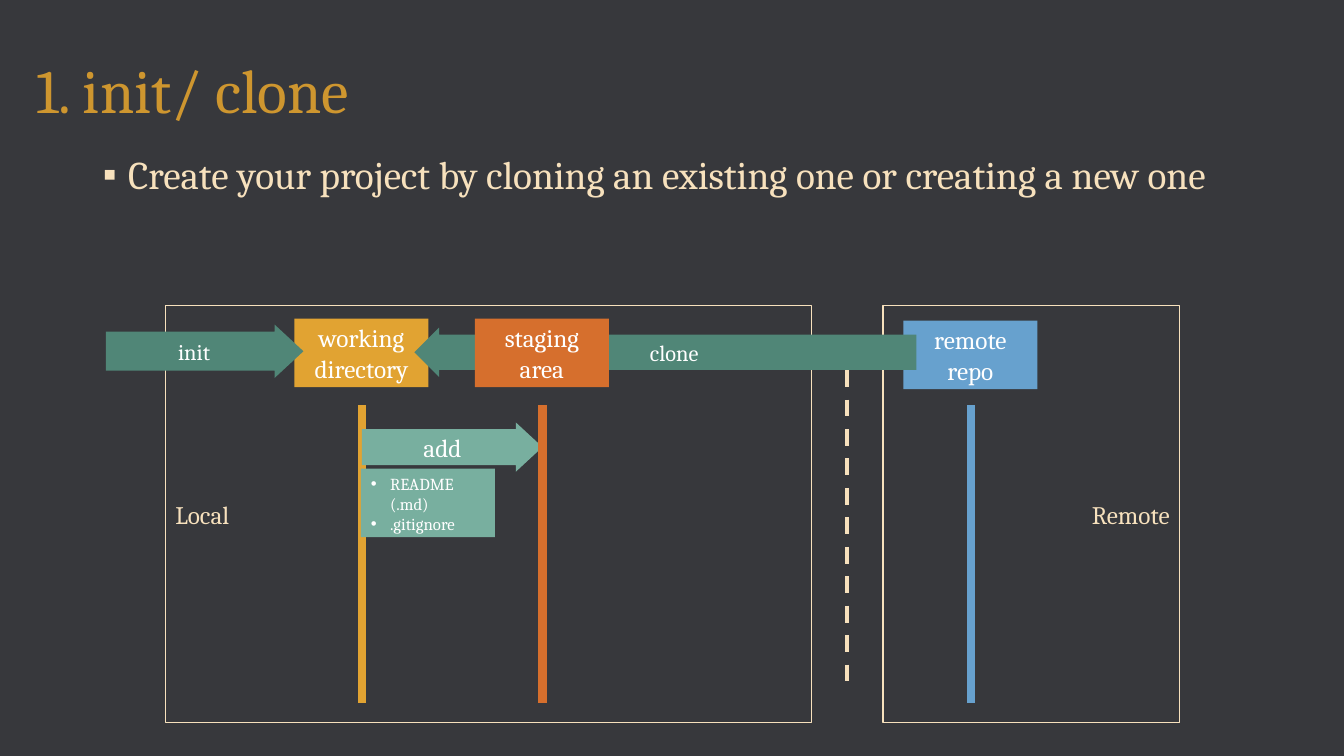
from lxml import etree
from pptx import Presentation
from pptx.dml.color import RGBColor
from pptx.enum.dml import MSO_LINE
from pptx.enum.shapes import MSO_CONNECTOR, MSO_SHAPE
from pptx.enum.text import MSO_ANCHOR, MSO_AUTO_SIZE, PP_ALIGN
from pptx.oxml.ns import qn
from pptx.util import Inches, Pt

RECT, RIGHT_ARROW, LEFT_ARROW = MSO_SHAPE.RECTANGLE, MSO_SHAPE.RIGHT_ARROW, MSO_SHAPE.LEFT_ARROW
STRAIGHT, DASH = MSO_CONNECTOR.STRAIGHT, MSO_LINE.DASH
LEFT, CENTER, RIGHT = PP_ALIGN.LEFT, PP_ALIGN.CENTER, PP_ALIGN.RIGHT
TOP, MIDDLE = MSO_ANCHOR.TOP, MSO_ANCHOR.MIDDLE
NO_FIT = MSO_AUTO_SIZE.NONE

FONT = "Cambria"
BACKGROUND, CREAM, WHITE, GOLD = "37383C", "F7E1BD", "FFFFFF", "CE962F"
YELLOW, ORANGE, BLUE = "E1A332", "D66F2D", "67A1CE"
GREEN, LIGHT_GREEN = "508677", "78AF9F"
RIGHT_ADJ, LEFT_ADJ = (0.73, 0.54), (0.71, 0.5)


def rgb(value):
    """Turn a hex string into a colour."""
    return RGBColor.from_string(value)


def add_run(p, text, size, color):
    """Add one formatted run to a paragraph."""
    r = p.add_run()
    r.text = text
    r.font.name, r.font.size = FONT, Pt(size)
    r.font.color.rgb = rgb(color)


def add_bullet(p, char, indent):
    """Give a paragraph a bullet with a hanging indent in inches."""
    pPr = p._p.get_or_add_pPr()
    pPr.set("marL", str(Inches(indent)))
    pPr.set("indent", str(Inches(-indent)))
    etree.SubElement(pPr, qn("a:buFont")).set("typeface", "Arial")
    etree.SubElement(pPr, qn("a:buChar")).set("char", char)


def place(sp, box):
    """Move a placeholder to a box given in inches."""
    sp.left, sp.top, sp.width, sp.height = (Inches(v) for v in box)


def add_block(s, box, lines, size, color=WHITE, fill=None, outline=None, kind=RECT,
              adjustments=(), align=CENTER, anchor=MIDDLE, bullet=None):
    """Add a preset shape holding one paragraph per line."""
    sp = s.shapes.add_shape(kind, *(Inches(v) for v in box))
    sp.shadow.inherit = False
    for i, value in enumerate(adjustments):
        sp.adjustments[i] = value
    if fill:
        sp.fill.solid()
        sp.fill.fore_color.rgb = rgb(fill)
    else:
        sp.fill.background()
    if outline:
        sp.line.color.rgb, sp.line.width = rgb(outline), Pt(1)
    else:
        sp.line.fill.background()
    tf = sp.text_frame
    tf.word_wrap, tf.vertical_anchor = True, anchor
    for i, line in enumerate(lines):
        p = tf.add_paragraph() if i else tf.paragraphs[0]
        p.alignment = align
        if bullet:
            add_bullet(p, bullet, 0.19)
        add_run(p, line, size, color)


def add_vertical(s, x, top, bottom, color, width, dash=None):
    """Add a vertical line."""
    line = s.shapes.add_connector(STRAIGHT, Inches(x), Inches(top), Inches(x), Inches(bottom))
    line.line.color.rgb, line.line.width = rgb(color), Pt(width)
    if dash:
        line.line.dash_style = dash
    etree.SubElement(line._element.spPr, qn("a:effectLst"))


def add_lane(s, x, y, label, color):
    """Add a labelled stage box with its lifeline below."""
    add_block(s, (x, y, 1.33, 0.68), [label], 18, fill=color)
    add_vertical(s, x + 0.67, 4.02, 6.97, color, 6)


def add_heading(s, box):
    """Fill the title placeholder."""
    sp = s.shapes.title
    place(sp, box)
    tf = sp.text_frame
    tf.word_wrap, tf.vertical_anchor, tf.auto_size = True, MIDDLE, NO_FIT
    p = tf.paragraphs[0]
    p.alignment, p.line_spacing = LEFT, 0.9
    add_run(p, "1. init/ clone", 44, GOLD)


def add_body(s, box):
    """Fill the body placeholder with its bullet."""
    sp = s.placeholders[1]
    place(sp, box)
    tf = sp.text_frame
    tf.word_wrap, tf.vertical_anchor, tf.auto_size = True, TOP, NO_FIT
    p = tf.paragraphs[0]
    p.alignment, p.line_spacing, p.space_before = LEFT, 0.9, Pt(10)
    add_bullet(p, "▪", 0.25)
    add_run(p, "Create your project by cloning an existing one or creating a new one", 28, CREAM)


def add_diagram(s, x, y):
    """Draw the repository flow from the top left corner of the local frame."""
    add_lane(s, x + 1.28, y + 0.13, "working directory", YELLOW)
    add_lane(s, x + 7.32, y + 0.15, "remote repo", BLUE)
    add_vertical(s, x + 6.76, y + 0.35, y + 3.78, CREAM, 3, DASH)
    for dx, width, label, align in ((0, 6.41, "Local", LEFT), (7.12, 2.94, "Remote", RIGHT)):
        add_block(s, (x + dx, y, width, 4.14), [label], 18, CREAM, outline=CREAM, align=align)
    for dx, dy, width, height, label, size, fill, kind, adjustments in (
            (1.95, 1.16, 1.79, 0.49, "add", 18, LIGHT_GREEN, RIGHT_ARROW, RIGHT_ADJ),
            (2.47, 0.22, 4.98, 0.49, "clone", 16, GREEN, LEFT_ARROW, LEFT_ADJ),
            (-0.59, 0.19, 1.96, 0.53, "init", 16, GREEN, RIGHT_ARROW, RIGHT_ADJ)):
        add_block(s, (x + dx, y + dy, width, height), [label], size,
                  fill=fill, kind=kind, adjustments=adjustments)
    add_block(s, (x + 1.94, y + 1.62, 1.33, 0.68), ["README (.md)", ".gitignore"], 12,
              fill=LIGHT_GREEN, align=LEFT, anchor=TOP, bullet="•")
    add_lane(s, x + 3.07, y + 0.13, "staging area", ORANGE)


def main():
    """Build and save the slide."""
    prs = Presentation()
    prs.slide_width, prs.slide_height = Inches(13.33), Inches(7.5)
    s = prs.slides.add_slide(prs.slide_layouts[1])
    s.background.fill.solid()
    s.background.fill.fore_color.rgb = rgb(BACKGROUND)
    add_heading(s, (0.26, 0.2, 11.5, 1.45))
    add_body(s, (0.92, 1.49, 11.5, 5.23))
    add_diagram(s, 1.64, 3.03)
    prs.save("out.pptx")


main()
